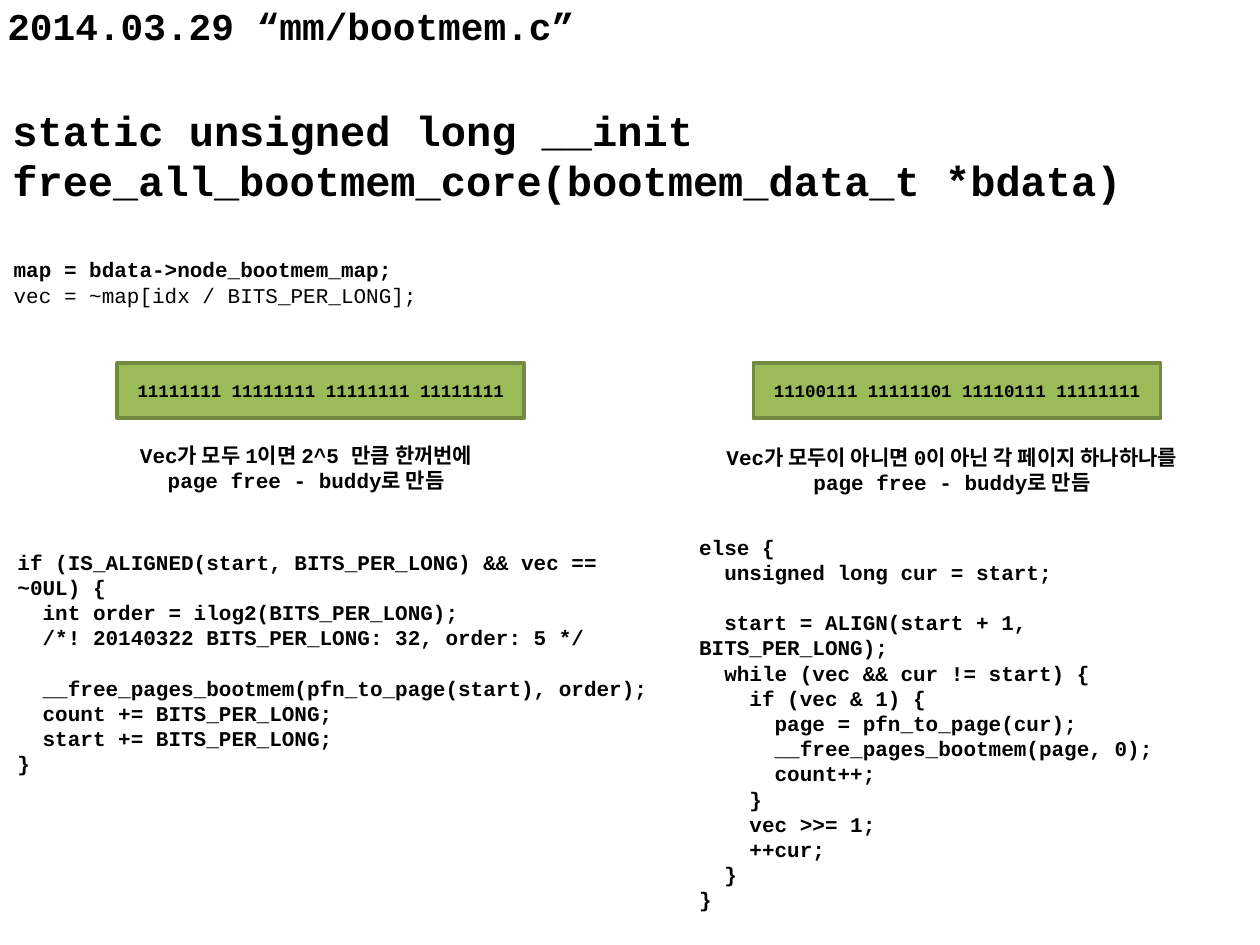
import pptx
import pptx.dml.color
import pptx.enum.shapes
import pptx.enum.text
import pptx.util

COLORS = {"text": "000000", "bitmap": "9BBB59", "border": "738A42"}
FONT = "Courier New"
COLUMNS, ROWS = 100, 75
WIDTH, HEIGHT = pptx.util.Inches(10), pptx.util.Inches(7.5)
CENTER = pptx.enum.text.PP_ALIGN.CENTER
LEFT = pptx.enum.text.PP_ALIGN.LEFT

ALIGNED_CODE = """if (IS_ALIGNED(start, BITS_PER_LONG) && vec == ~0UL) {
  int order = ilog2(BITS_PER_LONG);
  /*! 20140322 BITS_PER_LONG: 32, order: 5 */

  __free_pages_bootmem(pfn_to_page(start), order);
  count += BITS_PER_LONG;
  start += BITS_PER_LONG;
}"""

SINGLE_PAGE_CODE = """else {
  unsigned long cur = start;

  start = ALIGN(start + 1, BITS_PER_LONG);
  while (vec && cur != start) {
    if (vec & 1) {
      page = pfn_to_page(cur);
      __free_pages_bootmem(page, 0);
      count++;
    }
    vec >>= 1;
    ++cur;
  }
}"""


def color(name):
    return pptx.dml.color.RGBColor.from_string(COLORS[name])


def cells(column, row, columns, rows):
    return (
        round(WIDTH * column / COLUMNS),
        round(HEIGHT * row / ROWS),
        round(WIDTH * columns / COLUMNS),
        round(HEIGHT * rows / ROWS),
    )


def write_lines(frame, lines, size, alignment=LEFT, plain=()):
    frame.word_wrap = True
    paragraph = None
    gap = 0
    for line in lines:
        if not line:
            gap += 1.2 * size
            continue
        paragraph = frame.add_paragraph() if paragraph else frame.paragraphs[0]
        paragraph.alignment = alignment
        if gap:
            paragraph.space_before = pptx.util.Pt(gap)
            gap = 0
        run = paragraph.add_run()
        run.text = line
        run.font.name = FONT
        run.font.size = pptx.util.Pt(size)
        run.font.bold = line not in plain
        run.font.color.rgb = color("text")


def add_text(slide, area, lines, size=12, alignment=LEFT, plain=()):
    shape = slide.shapes.add_textbox(*cells(*area))
    write_lines(shape.text_frame, lines, size, alignment, plain)


def add_bitmap(slide, area, bits):
    shape = slide.shapes.add_shape(
        pptx.enum.shapes.MSO_SHAPE.RECTANGLE, *cells(*area))
    shape.shadow.inherit = False
    shape.fill.solid()
    shape.fill.fore_color.rgb = color("bitmap")
    shape.line.color.rgb = color("border")
    shape.line.width = pptx.util.Pt(2)
    shape.text_frame.vertical_anchor = pptx.enum.text.MSO_ANCHOR.MIDDLE
    write_lines(shape.text_frame, [bits], 10, CENTER)


def add_case(slide, bitmap_column, bits, caption_area, caption, code_area, code):
    add_bitmap(slide, (bitmap_column, 28.8, 32.3, 4.4), bits)
    add_text(slide, caption_area, [caption, "page free - buddy로 만듬"],
             alignment=CENTER)
    add_text(slide, code_area, code.split("\n"))


def main():
    presentation = pptx.Presentation()
    presentation.slide_width, presentation.slide_height = WIDTH, HEIGHT
    slide = presentation.slides.add_slide(presentation.slide_layouts[6])

    add_text(slide, (-0.4, -0.3, 100.4, 3.9), ["2014.03.29 “mm/bootmem.c”"], 21.6)
    add_text(slide, (0, 7.8, 100, 10), [
        "static unsigned long __init free_all_bootmem_core(bootmem_data_t *bdata)",
    ], 24)
    vector = "vec = ~map[idx / BITS_PER_LONG];"
    add_text(slide, (0.1, 19.9, 70.9, 5),
             ["map = bdata->node_bootmem_map;", vector], plain=[vector])

    add_case(slide, 9.3, "11111111 11111111 11111111 11111111",
             (7.3, 34.6, 34, 5), "Vec가 모두 1이면 2^5 만큼 한꺼번에",
             (0.4, 43.1, 52.8, 17.2), ALIGNED_CODE)
    add_case(slide, 59.8, "11100111 11111101 11110111 11111111",
             (53.1, 34.8, 44.9, 5), "Vec가 모두이 아니면 0이 아닌 각 페이지 하나하나를",
             (54.5, 41.9, 40.9, 29.3), SINGLE_PAGE_CODE)

    presentation.save("out.pptx")


if __name__ == "__main__":
    main()
